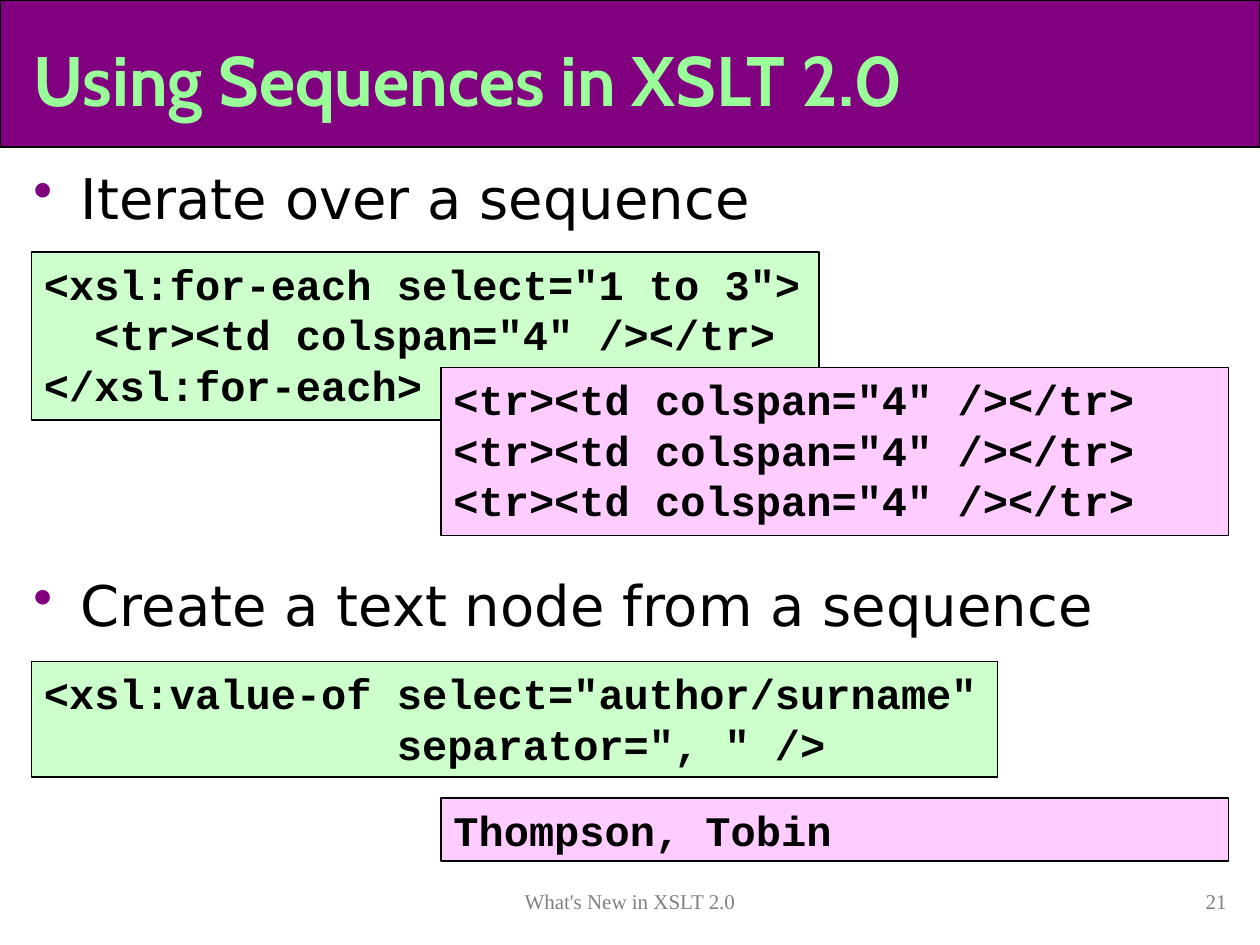
import pptx
import pptx.dml.color
import pptx.enum.shapes
import pptx.enum.text
import pptx.oxml
import pptx.util
from lxml import etree

Pt = pptx.util.Pt
Align = pptx.enum.text.PP_ALIGN
Anchor = pptx.enum.text.MSO_ANCHOR
RECT = pptx.enum.shapes.MSO_SHAPE.RECTANGLE
NS = "{http://schemas.openxmlformats.org/drawingml/2006/main}"
SCALE = 914400 // 120

PURPLE, BLACK, GRAY = "800080", "000000", "808080"
LIME, GREEN, PINK = "99FF99", "CCFFCC", "FFCCFF"
ROW = '<tr><td colspan="4" /></tr>'


def px(*sizes):
    return [size * SCALE for size in sizes]


def color(code):
    return pptx.dml.color.RGBColor.from_string(code)


def write(frame, lines, face, size, tint, bold=False, align=Align.LEFT):
    frame.text = "\n".join(lines)
    for para in frame.paragraphs:
        para.alignment = align
        font = para.font
        font.name, font.size, font.bold = face, Pt(size), bold
        font.color.rgb = color(tint)


def panel(slide, box, fill):
    shape = slide.shapes.add_shape(RECT, *px(*box))
    shape.shadow.inherit = False
    shape.fill.solid()
    shape.fill.fore_color.rgb = color(fill)
    shape.line.color.rgb = color(BLACK)
    shape.line.width = Pt(0.75)
    return shape


def header(slide, box, text):
    left, top, width, height = box
    title = slide.shapes.title
    band = panel(slide, box, PURPLE)
    title._element.addprevious(band._element)
    title.left, title.top, title.width, title.height = px(
        left + 20, top + 20, width - 50, height - 30)
    frame = title.text_frame
    frame.vertical_anchor = Anchor.MIDDLE
    write(frame, [text], "Cabin", 40, LIME, bold=True)


def bullet(para, indent):
    props = para._p.get_or_add_pPr()
    props.set("marL", str(indent))
    props.set("indent", str(-indent))
    tint = etree.SubElement(props, NS + "buClr")
    etree.SubElement(tint, NS + "srgbClr", val=PURPLE)
    etree.SubElement(props, NS + "buChar", char="•")


def points(slide, box, lines, gap):
    frame = slide.shapes.add_textbox(*px(*box)).text_frame
    frame.word_wrap = True
    write(frame, lines, "DejaVu Sans", 32, BLACK)
    for index, para in enumerate(frame.paragraphs):
        para.space_before = Pt(gap if index else 8)
        bullet(para, px(45)[0])


def code(slide, box, fill, lines):
    frame = panel(slide, box, fill).text_frame
    frame.word_wrap = False
    frame.vertical_anchor = Anchor.TOP
    write(frame, lines, "Courier New", 24, BLACK, bold=True)


def footer(slide, box, text, align):
    frame = slide.shapes.add_textbox(*px(*box)).text_frame
    frame.word_wrap = True
    write(frame, [text], "Times New Roman", 12, GRAY, align=align)


def main():
    deck = pptx.Presentation()
    deck.slide_width, deck.slide_height = px(1200, 900)
    slide = deck.slides.add_slide(deck.slide_layouts[5])

    header(slide, (0, 0, 1200, 140), "Using Sequences in XSLT 2.0")
    points(slide, (20, 150, 1160, 680),
           ["Iterate over a sequence", "Create a text node from a sequence"], 194)

    code(slide, (30, 240, 750, 160), GREEN,
         ['<xsl:for-each select="1 to 3">', "  " + ROW, "</xsl:for-each>"])
    code(slide, (420, 350, 750, 160), PINK, [ROW] * 3)
    code(slide, (30, 630, 920, 110), GREEN,
         ['<xsl:value-of select="author/surname"',
          '              separator=", " />'])
    code(slide, (420, 760, 750, 60), PINK, ["Thompson, Tobin"])

    footer(slide, (290, 840, 620, 40), "What's New in XSLT 2.0", Align.CENTER)
    footer(slide, (930, 840, 250, 40), "21", Align.RIGHT)
    deck.save("out.pptx")


if __name__ == "__main__":
    main()
